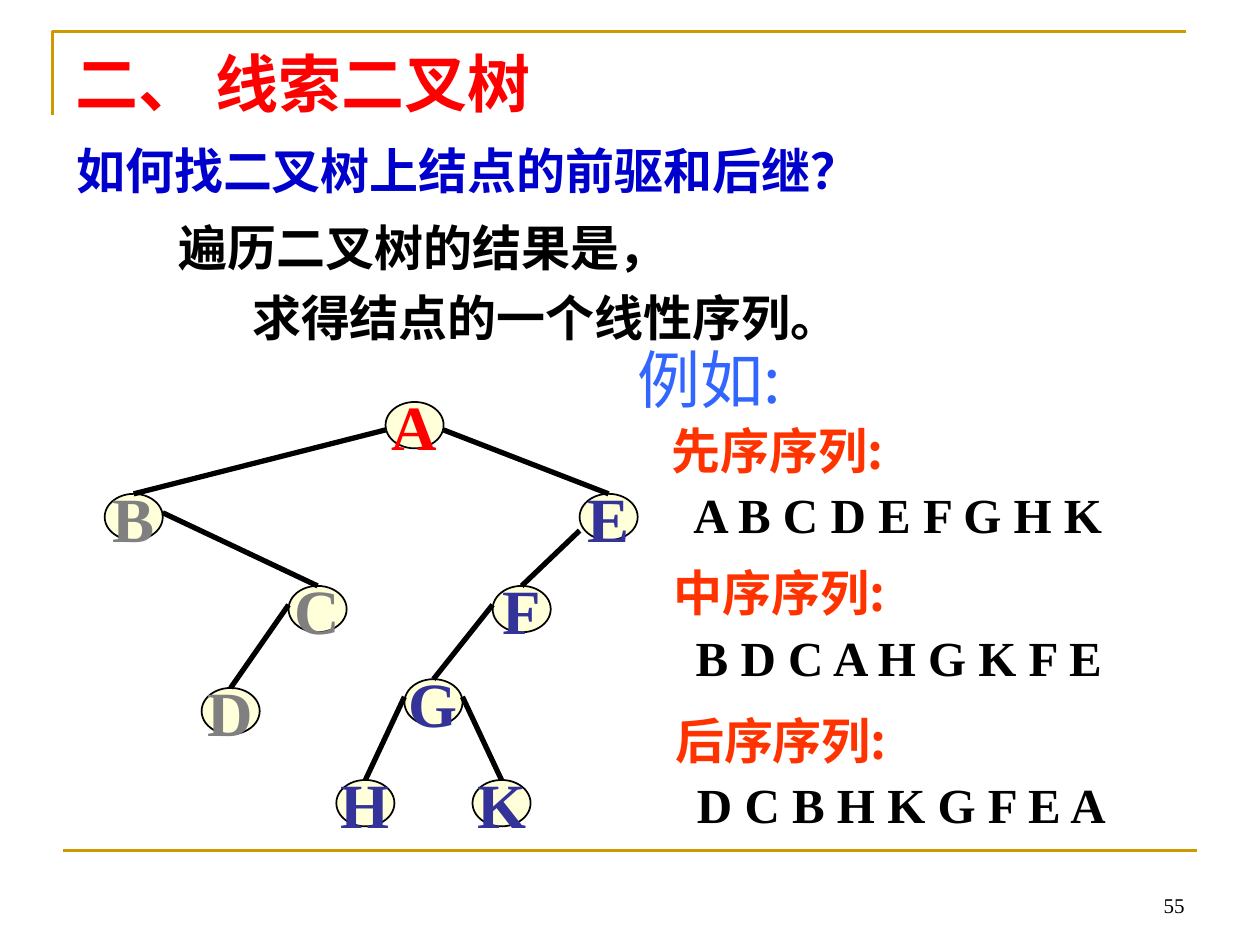
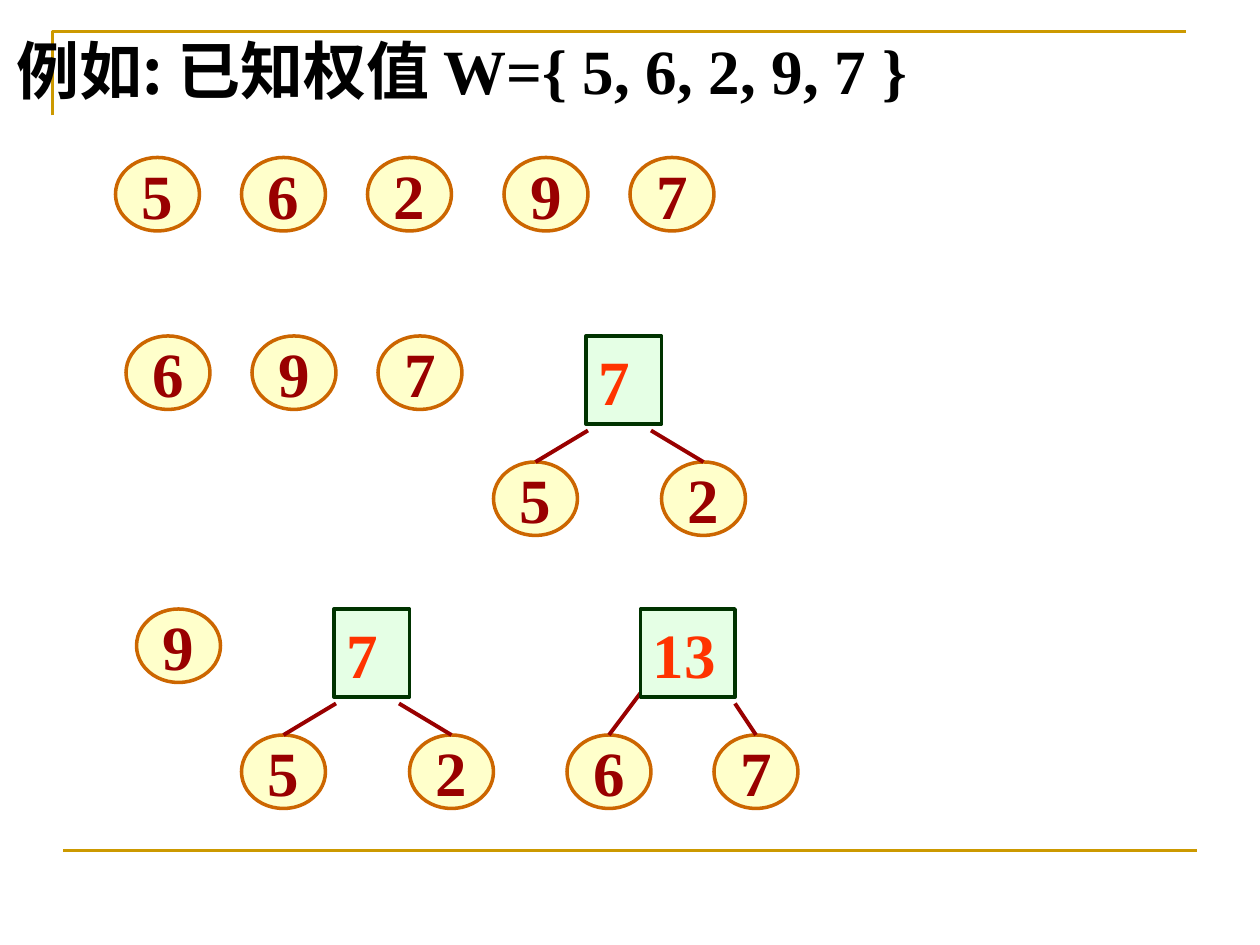
from lxml.etree import SubElement
from pptx import Presentation
from pptx.dml.color import RGBColor
from pptx.enum.shapes import MSO_CONNECTOR as Connector, MSO_SHAPE as Shape
from pptx.enum.text import MSO_ANCHOR as Anchor, PP_ALIGN as Align
from pptx.oxml.ns import qn
from pptx.util import Pt

COLORS = {
    "frame": "CC9900", "title": "FF0000", "question": "0000CC", "example": "3366FF",
    "order": "FF3300", "black": "000000", "node": "FFFFD9", "root": "FF0000",
    "left": "808080", "right": "333399", "ball": "FFFF99", "ball_line": "CC6600",
    "weight": "990000", "sum": "CCFFCC", "sum_line": "003300",
}
SERIF, SANS = "Times New Roman", "Noto Sans CJK SC"
NODE_W, NODE_H = 33.2, 26.5
BALL_W, BALL_H = 48, 42
SUM_H = 50.4


def rgb(name):
    return RGBColor.from_string(COLORS[name])


class SlideMaker:
    def __init__(self):
        self.deck = Presentation()
        self.deck.slide_width, self.deck.slide_height = Pt(720), Pt(540)
        self.page = None

    def add_page(self):
        """Start a slide with the shared gold frame."""
        self.page = self.deck.slides.add_slide(self.deck.slide_layouts[6])
        builder = self.page.shapes.build_freeform(Pt(30), Pt(66), scale=1.0)
        builder.add_line_segments([(Pt(30), Pt(18)), (Pt(678), Pt(18))], close=False)
        corner = builder.convert_to_shape()
        corner.shadow.inherit = False
        corner.fill.background()
        corner.line.color.rgb = rgb("frame")
        corner.line.width = Pt(1.5)
        self.line((36, 486), (684, 486), "frame", 1.5)

    def style(self, span, size, color, font=SERIF, bold=True):
        span.font.size, span.font.bold, span.font.name = Pt(size), bold, font
        span.font.color.rgb = rgb(color)
        SubElement(span.font._element, qn("a:ea")).set("typeface", SANS)

    def text(self, left, top, width, height, lines, size, wrap=False, bold=True):
        """Each line is a list of (text, colour, font) spans."""
        box = self.page.shapes.add_textbox(Pt(left), Pt(top), Pt(width), Pt(height))
        frame = box.text_frame
        frame.word_wrap = wrap
        for index, spans in enumerate(lines):
            para = frame.add_paragraph() if index else frame.paragraphs[0]
            for words, color, font in spans:
                span = para.add_run()
                span.text = words
                self.style(span, size, color, font, bold)
        return frame

    def shape(self, kind, left, top, width, height, label, fill, line, line_width,
              color, alpha=None):
        """Draw a filled shape with one large bold label."""
        item = self.page.shapes.add_shape(kind, Pt(left), Pt(top), Pt(width), Pt(height))
        item.shadow.inherit = False
        item.fill.solid()
        item.fill.fore_color.rgb = rgb(fill)
        if alpha:
            tint = item._element.spPr.find(qn("a:solidFill")).find(qn("a:srgbClr"))
            SubElement(tint, qn("a:alpha")).set("val", str(alpha * 1000))
        item.line.color.rgb = rgb(line)
        item.line.width = Pt(line_width)
        frame = item.text_frame
        is_oval = kind == Shape.OVAL
        frame.text = label
        frame.word_wrap = not is_oval
        frame.vertical_anchor = Anchor.MIDDLE if is_oval else Anchor.TOP
        frame.paragraphs[0].alignment = Align.CENTER if is_oval else Align.LEFT
        self.style(frame.paragraphs[0].runs[0], 36, color)

    def line(self, start, end, color, width):
        link = self.page.shapes.add_connector(
            Connector.STRAIGHT, *(Pt(value) for value in (*start, *end)))
        link.line.color.rgb = rgb(color)
        link.line.width = Pt(width)
        SubElement(link._element.spPr, qn("a:effectLst"))

    def ball(self, left, top, label):
        self.shape(Shape.OVAL, left, top, BALL_W, BALL_H, label,
                   "ball", "ball_line", 2, "weight", 50)

    def sum_tree(self, top, total, left, width, children, starts):
        """Draw a square sum over two balls; children are (left, label)."""
        for (child_left, label), start in zip(children, starts):
            self.ball(child_left, top + 72, label)
            self.line(start, (child_left + BALL_W / 2, top + 72), "weight", 2.25)
        self.shape(Shape.RECTANGLE, left, top, width, SUM_H, total,
                   "sum", "sum_line", 2, "order", 50)

    def seven_tree(self, left, top):
        self.sum_tree(top, "7", left + 52.8, 43.2, [(left, "5"), (left + 96, "2")],
                      [(left + 54, top + 54), (left + 90, top + 54)])


def threaded_tree(maker):
    maker.add_page()

    # Title and page number
    maker.text(36, 21.6, 648, 65.5, [[("二、 线索二叉树", "title", SANS)]], 36, True)
    number = maker.text(516, 492, 168, 36, [[("55", "black", SERIF)]], 12, True, False)
    number.vertical_anchor = Anchor.BOTTOM
    number.paragraphs[0].alignment = Align.RIGHT

    # Question and answer
    maker.text(36.5, 77, 640, 41,
               [[("如何找二叉树上结点的前驱和后继？", "question", SERIF)]], 28, True)
    answer = maker.text(23, 113.8, 666, 88,
                        [[("遍历二叉树的结果是，", "black", SERIF)],
                         [("求得结点的一个线性序列。", "black", SERIF)]], 28, True)
    for para, margin in zip(answer.paragraphs, (72, 114)):
        para.line_spacing = 1.2
        para._p.get_or_add_pPr().set("marL", str(Pt(margin)))

    # Tree nodes
    nodes = {
        "A": (220.3, 229.7, "root"), "B": (59.8, 282.2, "left"),
        "C": (164.9, 334.8, "left"), "D": (115.2, 393.1, "left"),
        "E": (331.2, 282.2, "right"), "F": (281.5, 334.8, "right"),
        "G": (231.1, 388.1, "right"), "H": (192.2, 445.7, "right"),
        "K": (270, 445.7, "right"),
    }
    for label, (left, top, color) in nodes.items():
        maker.shape(Shape.OVAL, left, top, NODE_W, NODE_H, label,
                    "node", "black", 1, color)

    # Tree edges: parent, child, parent side (0 left, 1 right), drop on that side
    edges = [("A", "B", 0, 16), ("B", "C", 1, 10.8), ("C", "D", 0, 10.8),
             ("A", "E", 1, 16), ("E", "F", 0, 21), ("F", "G", 0, 10.8),
             ("G", "H", 0, 10.1), ("G", "K", 1, 10.1)]
    for parent, child, side, drop in edges:
        left, top, _ = nodes[parent]
        child_left, child_top, _ = nodes[child]
        maker.line((left + side * NODE_W, top + drop),
                   (child_left + NODE_W / 2, child_top), "black", 3)

    # Traversal orders
    maker.text(357.1, 190.8, 116.6, 50.4, [[("例如:", "example", SANS)]], 36, bold=False)
    orders = [(376.6, 236.9, "先序序列:", "A B C D E F G H K"),
              (378, 318.2, "中序序列:", "B D C A H G K F E"),
              (378.7, 402.5, "后序序列:", "D C B H K G F E A")]
    for left, top, name, sequence in orders:
        frame = maker.text(left, top, 283.7, 74.9,
                           [[(name, "order", SANS)], [(sequence, "black", SERIF)]], 28)
        para = frame.paragraphs[1]
        para.space_before = Pt(3)
        para._p.get_or_add_pPr().set("marL", str(Pt(12.5)))


def weight_merging(maker):
    maker.add_page()
    maker.text(2.2, 14.4, 582.5, 50.4,
               [[("例如: 已知权值 ", "black", SANS),
                 ("W={ 5, 6, 2, 9, 7 }", "black", SERIF)]], 36)

    # Single weights left at each step
    for left, label in zip((66, 138, 210, 288, 360), "56297"):
        maker.ball(left, 90, label)
    for index, label in enumerate("697"):
        maker.ball(72 + 72 * index, 192, label)
    maker.ball(78, 348, "9")

    # Merged trees
    maker.seven_tree(282, 192)
    maker.seven_tree(138, 348)
    maker.sum_tree(348, "13", 366, 54, [(324, "6"), (408, "7")],
                   [(366, 396), (420, 402)])


def main():
    maker = SlideMaker()
    threaded_tree(maker)
    weight_merging(maker)
    maker.deck.save("out.pptx")


if __name__ == "__main__":
    main()
